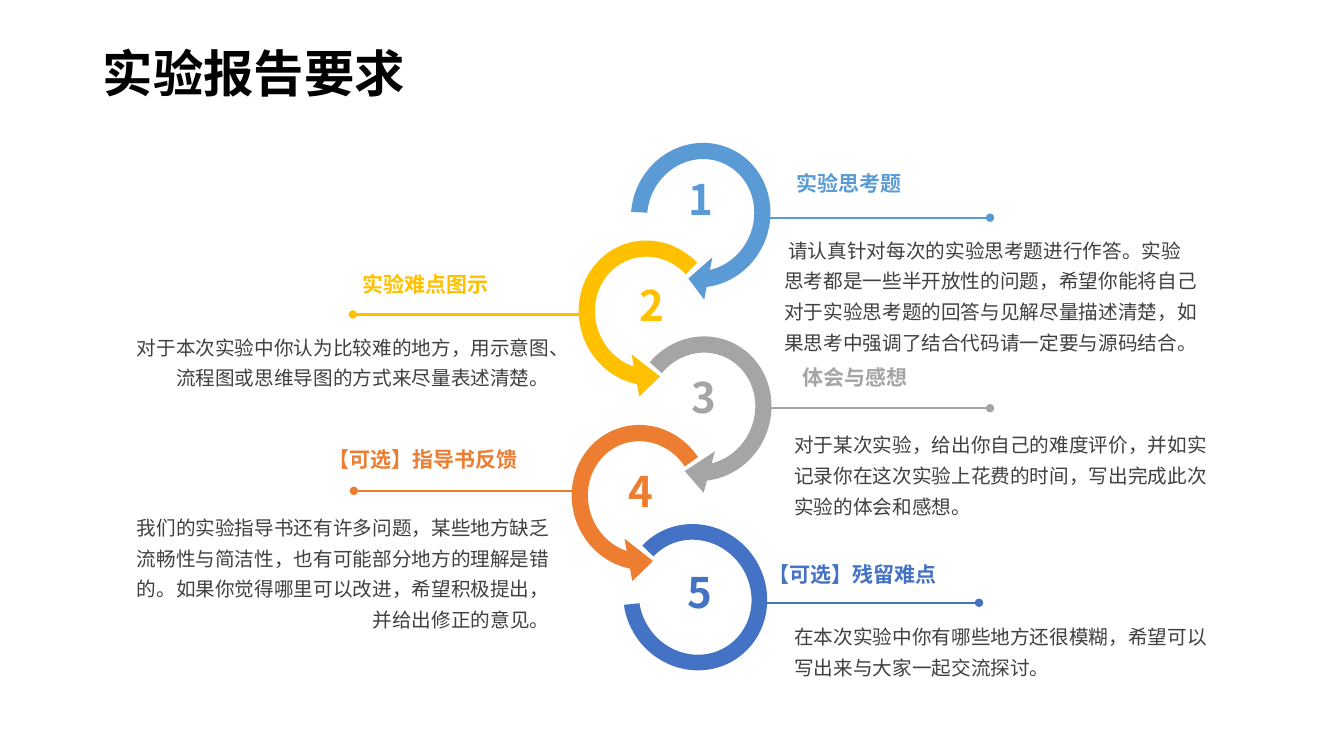
from lxml import etree
from pptx import Presentation, util as u
from pptx.dml.color import RGBColor
from pptx.enum import shapes, text
from pptx.oxml.ns import qn

PX = 9144  # 100 px to the inch
FONT = "Noto Sans CJK SC"
COLORS = {"black": "000000", "body": "404040", "blue": "5B9BD5", "gold": "FFC000",
          "gray": "A5A5A5", "orange": "ED7D31", "navy": "4472C4"}
RING_W, RING_H = 164, 171
LINE_W = 225
HEADING_W, HEADING_H = 255, 45
BODY_W = 430

prs = Presentation()
prs.slide_width, prs.slide_height = 1333 * PX, 750 * PX
s = prs.slides.add_slide(prs.slide_layouts[6])


def rgb(name):
    return RGBColor.from_string(COLORS[name])


def add_text(box, words, size, color, bold=False, para=None, anchor=text.MSO_ANCHOR.TOP):
    """Add a wrapped text box; box is left, top, width, height in px."""
    tf = s.shapes.add_textbox(*(v * PX for v in box)).text_frame
    tf.word_wrap = True
    tf.vertical_anchor = anchor
    p = tf.paragraphs[0]
    for name, value in (para or {}).items():
        setattr(p, name, value)
    r = p.add_run()
    r.text = words
    for name, value in {"size": u.Pt(size), "bold": bold, "name": FONT}.items():
        setattr(r.font, name, value)
    r.font.color.rgb = rgb(color)
    etree.SubElement(r.font._element, qn("a:ea"), typeface=FONT)
    return p


add_text((92, 40, 1150, 71), "实验报告要求", 36, "black", True,
         {"line_spacing": 0.9}, text.MSO_ANCHOR.MIDDLE)

# color, side, ring left/top, arrow head and start angles, line start x/y,
# number left/top, heading left/top, body left/top/height, heading, body
steps = [
    ("blue", "right", (613, 128), (10.69, 96.33), (757, 216), (673, 167), (780, 164),
     (768, 225, 130), "实验思考题",
     "请认真针对每次的实验思考题进行作答。实验思考都是一些半开放性的问题，希望你能将自己"
     "对于实验思考题的回答与见解尽量描述清楚，如果思考中强调了结合代码请一定要与源码结合。"),
    ("gold", "left", (561, 225), (13.21, 125.17), (575, 312), (624, 272), (350, 264),
     (125, 321, 69), "实验难点图示",
     "对于本次实验中你认为比较难的地方，用示意图、流程图或思维导图的方式来尽量表述清楚。"),
    ("gray", "right", (614, 320), (13.21, 119.8), (757, 405), (676, 364), (786, 357),
     (778, 418, 100), "体会与感想",
     "对于某次实验，给出你自己的难度评价，并如实记录你在这次实验上花费的时间，"
     "写出完成此次实验的体会和感想。"),
    ("orange", "left", (554, 408), (13.21, 118.87), (576, 487), (614, 457), (316, 438),
     (125, 500, 129), "【可选】指导书反馈",
     "我们的实验指导书还有许多问题，某些地方缺乏流畅性与简洁性，也有可能部分地方的理解是错的。"
     "如果你觉得哪里可以改进，希望积极提出，并给出修正的意见。"),
    ("navy", "right", (616, 522), None, (746, 598), (672, 557), (752, 552),
     (778, 608, 71), "【可选】残留难点",
     "在本次实验中你有哪些地方还很模糊，希望可以写出来与大家一起交流探讨。"),
]

for color, side, ring, angles, (x, y), number, heading, body, *_ in steps:
    end = x + LINE_W if side == "right" else x - LINE_W
    line = s.shapes.add_connector(shapes.MSO_CONNECTOR.STRAIGHT,
                                  x * PX, y * PX, end * PX, y * PX)
    line.line.color.rgb = rgb(color)
    line.line.width = u.Pt(1.5)
    etree.SubElement(line.line._get_or_add_ln(), qn("a:tailEnd"), type="oval")
    etree.SubElement(line._element.spPr, qn("a:effectLst"))

for i, (color, side, ring, angles, start, number, heading, body, title, words) in enumerate(steps, 1):
    if angles:
        kind, size = shapes.MSO_SHAPE.CIRCULAR_ARROW, (RING_W, RING_H)
        head, tail = angles
        adjustments = (0.098, head, 36.66, tail, 0.13)
        rotation = 22.1 if side == "right" else 342.7
    else:
        kind, size = shapes.MSO_SHAPE.BLOCK_ARC, (147, 141)
        adjustments = (100.86, 70.52, 0.11)
        rotation = 56.3
    sp = s.shapes.add_shape(kind, *(v * PX for v in ring + size))
    sp.shadow.inherit = False
    sp.rotation = rotation
    for k, value in enumerate(adjustments):
        sp.adjustments[k] = value
    if side == "left":
        sp._element.spPr.xfrm.set("flipH", "1")
    sp.fill.solid()
    sp.fill.fore_color.rgb = rgb(color)
    sp.line.fill.background()

    add_text((*number, 53, 77), str(i), 30, color, True)
    add_text((*heading, HEADING_W, HEADING_H), title, 15, color, True)
    left, top, height = body
    align = text.PP_ALIGN.LEFT if side == "right" else text.PP_ALIGN.RIGHT
    p = add_text((left, top, BODY_W, height), words, 14, "body",
                 para={"line_spacing": 1.3, "alignment": align})
    if i == 1:
        p._p.get_or_add_pPr().set("indent", str(4 * PX))

prs.save("out.pptx")
